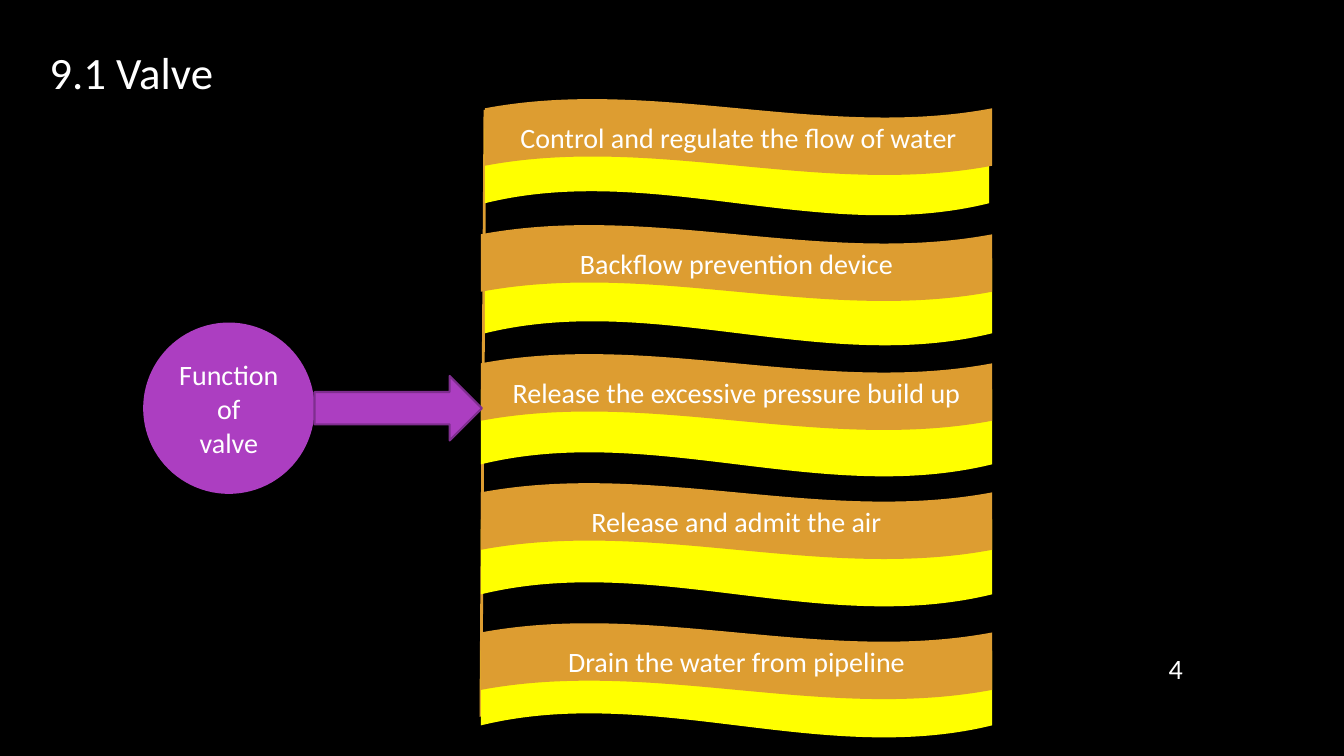
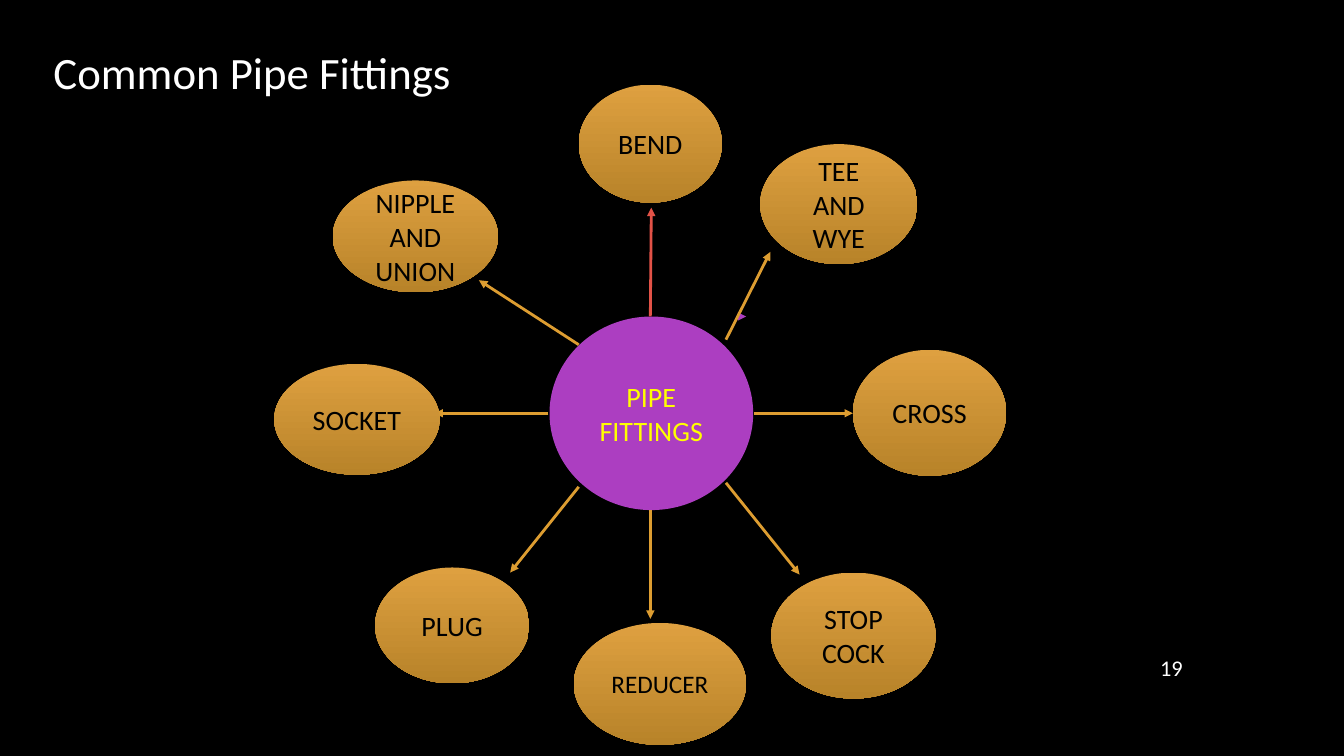
from collections import namedtuple

from lxml.etree import SubElement
from pptx import Presentation
from pptx.dml.color import RGBColor
from pptx.enum.shapes import MSO_CONNECTOR, MSO_SHAPE
from pptx.enum.text import MSO_ANCHOR, MSO_AUTO_SIZE, PP_ALIGN
from pptx.oxml.ns import qn
from pptx.util import Inches, Pt

BLACK = RGBColor(0x00, 0x00, 0x00)
WHITE = RGBColor(0xFF, 0xFF, 0xFF)
YELLOW = RGBColor(0xFF, 0xFF, 0x00)
PURPLE = RGBColor(0xAC, 0x3E, 0xC1)
DARK_PURPLE = RGBColor(0x7F, 0x2E, 0x8F)
ORANGE = RGBColor(0xDD, 0x9D, 0x31)
RED = RGBColor(0xE2, 0x52, 0x47)
NODE_TOP = RGBColor(0xDE, 0xA0, 0x40)
NODE_BOTTOM = RGBColor(0xB8, 0x83, 0x29)
FONT = "Calibri"
TITLE_ONLY = 5

Box = namedtuple("Box", "left top width height")
Band = namedtuple("Band", "text front_left front_top back_left back_top back_width")
Spoke = namedtuple("Spoke", "text node start end color size", defaults=(ORANGE, 20))

NUMBER_BOX = Box(11.23, 6.42, 0.6, 0.41)

# Band offsets count from the top left corner of the stack.
STACK = Box(4.77, 0.98, 5.07, 6.34)
FRONT_HEIGHT, BACK_HEIGHT = 0.76, 0.99
BANDS = [
    Band("Control and regulate the flow of water", 0.04, 0, 0.04, 0.17, 5),
    Band("Backflow prevention device", 0, 1.25, 0.04, 1.46, 5.03),
    Band("Release the excessive pressure build up", 0, 2.53, 0, 2.76, 5.07),
    Band("Release and admit the air", 0, 3.81, 0, 4.05, 5.07),
    Band("Drain the water from pipeline", 0, 5.2, 0, 5.35, 5.07),
]

# Spoke offsets count from the centre of the hub.
HUB = Box(5.45, 3.14, 2.02, 1.92)
SPOKES = [
    Spoke("BEND", Box(-0.72, -3.26, 1.42, 1.17), (-0.01, -0.96), (0, -2.04), RED),
    Spoke("TEE AND WYE", Box(1.08, -2.67, 1.56, 1.19), (0.74, -0.73), (1.18, -1.6)),
    Spoke("CROSS", Box(2, -0.63, 1.52, 1.25), (1.02, 0), (2, 0)),
    Spoke("REDUCER", Box(-0.77, 2.08, 1.71, 1.21), (-0.01, 0.96), (-0.01, 2.04), size=18),
    Spoke("STOP COCK", Box(1.19, 1.58, 1.63, 1.25), (0.74, 0.69), (1.47, 1.6)),
    Spoke("PLUG", Box(-2.74, 1.53, 1.53, 1.15), (-0.72, 0.73), (-1.4, 1.58)),
    Spoke("SOCKET", Box(-3.74, -0.49, 1.64, 1.1), (-1.02, 0), (-2.15, 0)),
    Spoke("NIPPLE AND UNION", Box(-3.16, -2.31, 1.64, 1.11), (-0.72, -0.68), (-1.71, -1.32)),
]


def inches(box):
    return [Inches(length) for length in box]


def write(frame, lines, size, color, align, anchor=MSO_ANCHOR.MIDDLE):
    frame.word_wrap = True
    frame.vertical_anchor = anchor
    for index, line in enumerate(lines):
        para = frame.add_paragraph() if index else frame.paragraphs[0]
        para.alignment = align
        span = para.add_run()
        span.text = line
        span.font.name = FONT
        span.font.size = Pt(size)
        span.font.color.rgb = color


def add_plain_shape(page, kind, box, fill, lines=(), color=WHITE, size=20):
    """Add a preset shape without outline or shadow; a pair of fills is a gradient."""
    shape = page.shapes.add_shape(kind, *inches(box))
    shape.shadow.inherit = False
    shape.line.fill.background()
    if isinstance(fill, list):
        shape.fill.gradient()
        shape.fill.gradient_angle = 270
        for stop, shade, position in zip(shape.fill.gradient_stops, fill, (0, 1)):
            stop.color.rgb = shade
            stop.position = position
    else:
        shape.fill.solid()
        shape.fill.fore_color.rgb = fill
    write(shape.text_frame, lines, size, color, PP_ALIGN.CENTER)
    return shape


def add_line(page, start, end, color, width=2, arrow=True):
    line = page.shapes.add_connector(MSO_CONNECTOR.STRAIGHT, *inches(start + end))
    line.line.color.rgb = color
    line.line.width = Pt(width)
    properties = line.element.spPr
    if arrow:
        SubElement(properties.find(qn("a:ln")), qn("a:tailEnd"), type="triangle")
    SubElement(properties, qn("a:effectLst"))


def add_page(deck, title, title_box, number, number_size):
    page = deck.slides.add_slide(deck.slide_layouts[TITLE_ONLY])
    heading = page.shapes.title
    heading.left, heading.top, heading.width, heading.height = inches(title_box)
    heading.text_frame.auto_size = MSO_AUTO_SIZE.NONE
    write(heading.text_frame, [title], 32, WHITE, PP_ALIGN.LEFT, MSO_ANCHOR.TOP)
    number_text = page.shapes.add_textbox(*inches(NUMBER_BOX))
    write(number_text.text_frame, [number], number_size, WHITE, PP_ALIGN.RIGHT)
    return page


def add_band_stack(page, box, bands):
    """Stack waves, each with a yellow wave behind, along a thin spine."""
    add_line(page, (box.left + 0.04, box.top + 0.11), (box.left, box.top + 6.13),
             ORANGE, arrow=False)
    for band in bands:
        back = Box(box.left + band.back_left, box.top + band.back_top,
                   band.back_width, BACK_HEIGHT)
        front = Box(box.left + band.front_left, box.top + band.front_top,
                    box.width - band.front_left, FRONT_HEIGHT)
        add_plain_shape(page, MSO_SHAPE.WAVE, back, YELLOW)
        add_plain_shape(page, MSO_SHAPE.WAVE, front, ORANGE, [band.text])


def add_topic_pointer(page, box, lines):
    """Place a circle at the left of the box and an arrow from it to the right edge."""
    circle = Box(box.left, box.top, box.height, box.height)
    arrow = Box(box.left + box.height, box.top + 0.53, box.width - box.height, 0.64)
    add_plain_shape(page, MSO_SHAPE.OVAL, circle, PURPLE, lines)
    pointer = add_plain_shape(page, MSO_SHAPE.RIGHT_ARROW, arrow, PURPLE)
    pointer.line.color.rgb = DARK_PURPLE
    pointer.line.width = Pt(1.5)


def add_hub_and_spokes(page, box, text, spokes):
    center_x = box.left + box.width / 2
    center_y = box.top + box.height / 2

    def from_center(point):
        return center_x + point[0], center_y + point[1]

    add_plain_shape(page, MSO_SHAPE.OVAL, box, PURPLE, [text], YELLOW)
    add_line(page, from_center((0.84, -0.96)), from_center((0.94, -0.96)), PURPLE, 0.75)
    for spoke in spokes:
        add_line(page, from_center(spoke.start), from_center(spoke.end), spoke.color)
        node = Box(*from_center(spoke.node[:2]), *spoke.node[2:])
        add_plain_shape(page, MSO_SHAPE.FLOWCHART_CONNECTOR, node,
                        [NODE_TOP, NODE_BOTTOM], [spoke.text], BLACK, spoke.size)


def add_valve_page(deck):
    page = add_page(deck, "9.1 Valve", Box(0.39, 0.39, 3.34, 0.64), "4", 20)
    add_band_stack(page, STACK, BANDS)
    add_topic_pointer(page, Box(1.42, 3.2, 3.36, 1.7), ["Function of", "valve"])


def add_fittings_page(deck):
    page = add_page(deck, "Common Pipe Fittings", Box(0.43, 0.39, 4.92, 0.64), "19", 16)
    add_hub_and_spokes(page, HUB, "PIPE FITTINGS", SPOKES)


def main():
    deck = Presentation()
    deck.slide_width = Inches(13.33)
    deck.slide_height = Inches(7.5)
    backdrop = deck.slide_master.background.fill
    backdrop.solid()
    backdrop.fore_color.rgb = BLACK
    add_valve_page(deck)
    add_fittings_page(deck)
    deck.save("out.pptx")


if __name__ == "__main__":
    main()
